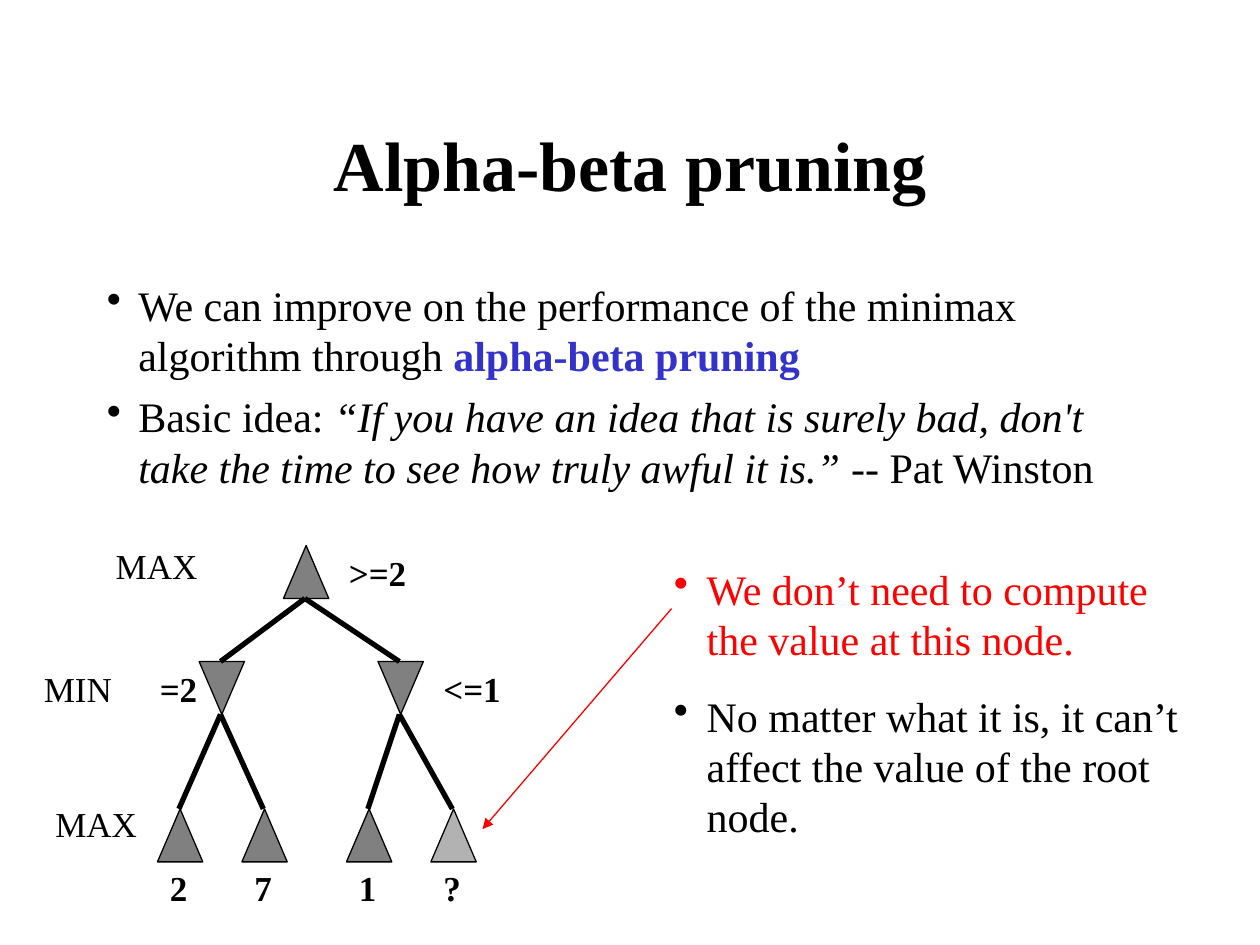
from dataclasses import dataclass
from lxml import etree
from pptx import Presentation
from pptx.dml.color import RGBColor
from pptx.enum.shapes import MSO_CONNECTOR, MSO_SHAPE
from pptx.enum.text import MSO_ANCHOR, MSO_AUTO_SIZE, PP_ALIGN
from pptx.oxml.ns import qn
from pptx.util import Inches, Pt

TRIANGLE = MSO_SHAPE.ISOSCELES_TRIANGLE
STRAIGHT = MSO_CONNECTOR.STRAIGHT
MIDDLE = MSO_ANCHOR.MIDDLE
CENTER = PP_ALIGN.CENTER
LEFT = PP_ALIGN.LEFT
FIT = MSO_AUTO_SIZE.SHAPE_TO_FIT_TEXT


@dataclass(frozen=True)
class Theme:
    font: str = "Times New Roman"
    black: str = "000000"
    accent: str = "3333CC"
    red: str = "FF0000"
    node: str = "808080"
    pruned: str = "B2B2B2"
    title: int = 40
    body: int = 24
    label: int = 20


theme = Theme()
deck = Presentation()
deck.slide_width, deck.slide_height = Inches(10), Inches(7.5)
page = deck.slides.add_slide(deck.slide_layouts[6])


def add_text(place, paragraphs, size, indent=0, gap=0):
    box = page.shapes.add_textbox(*map(Inches, place))
    frame = box.text_frame
    frame.word_wrap = True
    for index, spans in enumerate(paragraphs):
        para = frame.paragraphs[0] if index == 0 else frame.add_paragraph()
        para.alignment = LEFT
        para.space_before = Pt(gap)
        for text, color, bold, italic in spans:
            span = para.add_run()
            span.text = text
            span.font.name = theme.font
            span.font.size = Pt(size)
            span.font.bold = bold
            span.font.italic = italic
            span.font.color.rgb = RGBColor.from_string(color)
        if indent:
            properties = para._p.get_or_add_pPr()
            properties.set("marL", str(Inches(indent)))
            properties.set("indent", str(-Inches(indent)))
            bullet_color = etree.SubElement(properties, qn("a:buClr"))
            etree.SubElement(bullet_color, qn("a:srgbClr"), val=spans[0][1])
            etree.SubElement(properties, qn("a:buChar"), char="•")
    return frame


def add_line(start, end, color, width):
    line = page.shapes.add_connector(STRAIGHT, *map(Inches, (*start, *end)))
    line.line.color.rgb = RGBColor.from_string(color)
    line.line.width = Pt(width)
    etree.SubElement(line._element.spPr, qn("a:effectLst"))
    return line


title = add_text((0.75, 0.67, 8.5, 1.25),
                 [[("Alpha-beta pruning", theme.black, True, False)]], theme.title)
title.vertical_anchor = MIDDLE
title.paragraphs[0].alignment = CENTER

add_text((0.75, 2.17, 8.5, 4.5), [
    [("We can improve on the performance of the minimax algorithm through ", theme.black, False, False),
     ("alpha-beta pruning", theme.accent, True, False)],
    [("Basic idea: ", theme.black, False, False),
     ("“If you have an idea that is surely bad, don't take the time to see how truly awful it is.”",
      theme.black, False, True),
     (" -- Pat Winston", theme.black, False, False)],
], theme.body, indent=0.25, gap=6)

node_width, node_height, middle = 0.36, 0.42, 0.17
max_top, min_top, leaf_top = 4.33, 5.25, 6.42
root_left = 2.25
branches = {1.58: (1.25, 1.92), 3: (2.75, 3.42)}
pruned_left = 3.42

nodes = [(root_left, max_top, 0)]
edges = []
for min_left, leaves in branches.items():
    nodes.append((min_left, min_top, 180))
    edges.append(((min_left + middle, min_top), (root_left + middle, max_top + node_height)))
    for leaf_left in leaves:
        nodes.append((leaf_left, leaf_top, 0))
        edges.append(((leaf_left + middle, leaf_top), (min_left + middle, min_top + node_height)))

for left, top, rotation in nodes:
    node = page.shapes.add_shape(TRIANGLE, *map(Inches, (left, top, node_width, node_height)))
    node.rotation = rotation
    node.shadow.inherit = False
    fill = theme.pruned if left == pruned_left else theme.node
    node.fill.solid()
    node.fill.fore_color.rgb = RGBColor.from_string(fill)
    node.line.color.rgb = RGBColor.from_string(theme.black)
    node.line.width = Pt(0.75)

for start, end in edges:
    add_line(start, end, theme.black, 3)

labels = [
    ("2", 1.25, 6.83, 0.34, True),
    ("7", 1.92, 6.83, 0.34, True),
    ("1", 2.75, 6.83, 0.34, True),
    ("?", 3.42, 6.83, 0.34, True),
    ("=2", 1.17, 5.25, 0.5, True),
    (">=2", 2.67, 4.33, 0.68, True),
    ("<=1", 3.42, 5.25, 0.68, True),
    ("MAX", 0.82, 4.27, 0.85, False),
    ("MIN", 0.25, 5.25, 0.74, False),
    ("MAX", 0.34, 6.32, 0.85, False),
]
for text, left, top, width, bold in labels:
    label = add_text((left, top, width, 0.44), [[(text, theme.black, bold, False)]], theme.label)
    label.word_wrap = False
    label.auto_size = FIT

remarks = add_text((5.25, 4.42, 4.42, 2.31), [
    [("We don’t need to compute the value at this node.", theme.red, False, False)],
    [("No matter what it is, it can’t affect the value of the root node.", theme.black, False, False)],
], theme.body, indent=0.26, gap=15)
remarks.auto_size = FIT

pointer = add_line((5.33, 4.83), (3.83, 6.58), theme.red, 0.75)
etree.SubElement(pointer.line._get_or_add_ln(), qn("a:tailEnd"), type="triangle")

deck.save("out.pptx")
